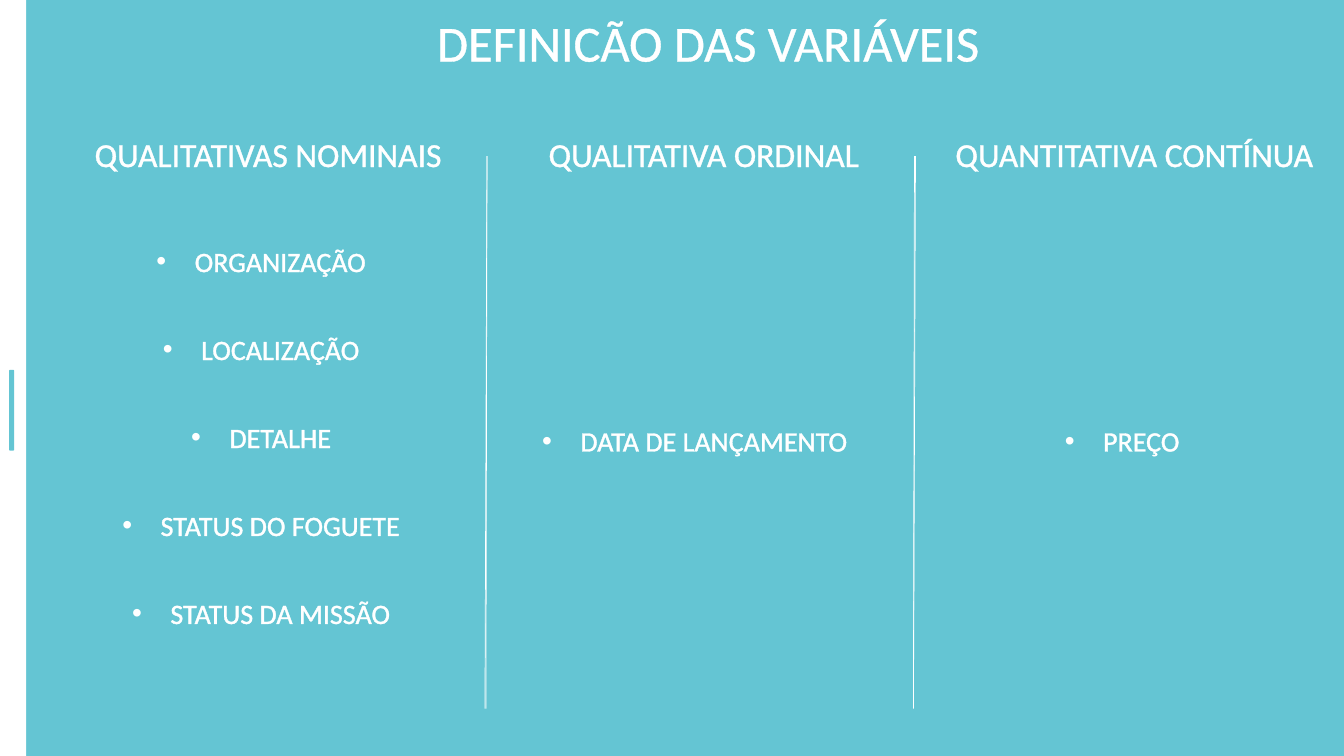
from lxml.etree import SubElement
from pptx import Presentation
from pptx.dml.color import RGBColor
from pptx.enum.shapes import MSO_CONNECTOR, MSO_SHAPE
from pptx.enum.text import PP_ALIGN
from pptx.oxml import parse_xml
from pptx.oxml.ns import nsdecls, qn
from pptx.util import Inches, Pt

TEAL = "64C5D3"
WHITE = "FFFFFF"
FONT = "Calibri"
COLUMN_WIDTH = 4.3
HEADING_TOP = 1.32
ITEM_GAP = 41.25

COLUMNS = [
    {
        "heading": "QUALITATIVAS NOMINAIS",
        "heading_left": 0.51,
        "items": ["ORGANIZAÇÃO", "LOCALIZAÇÃO", "DETALHE", "STATUS DO FOGUETE", "STATUS DA MISSÃO"],
        "items_box": (0.44, 2.41, COLUMN_WIDTH, 3.6),
    },
    {
        "heading": "QUALITATIVA ORDINAL",
        "heading_left": 4.83,
        "items": ["DATA DE LANÇAMENTO"],
        "items_box": (4.74, 4.19, COLUMN_WIDTH, 0.77),
    },
    {
        "heading": "QUANTITATIVA CONTÍNUA",
        "heading_left": 9.1,
        "items": ["PREÇO"],
        "items_box": (8.98, 4.19, COLUMN_WIDTH, 0.77),
    },
]

DIVIDERS = [
    (4.83, 1.55, 4.81, 7.03),
    (4.83, 1.55, 4.82, 7.03),
    (9.07, 1.55, 9.06, 7.03),
    (9.08, 1.55, 9.06, 7.02),
]


def color(value):
    """Return the colour for a hex string."""
    return RGBColor.from_string(value)


def apply_format(target, values):
    """Set every attribute in a dict of format values."""
    for name, value in values.items():
        setattr(target, name, value)


def add_block(slide, kind, box, fill):
    """Add a filled preset shape without outline or shadow."""
    shape = slide.shapes.add_shape(kind, *map(Inches, box))
    shape.shadow.inherit = False
    shape.fill.solid()
    shape.fill.fore_color.rgb = color(fill)
    shape.line.fill.background()


def add_divider(slide, ends):
    """Add a thin white line without shadow."""
    connector = slide.shapes.add_connector(MSO_CONNECTOR.STRAIGHT, *map(Inches, ends))
    connector.line.width = Pt(0.5)
    connector.line.color.rgb = color(WHITE)
    SubElement(connector._element.spPr, qn("a:effectLst"))


def outline_run(run):
    """Give a run a thin white outline."""
    outline = parse_xml(
        f'<a:ln {nsdecls("a")} w="{Pt(0.75)}"><a:solidFill>'
        f'<a:srgbClr val="{WHITE}"/></a:solidFill></a:ln>'
    )
    run._r.get_or_add_rPr().insert(0, outline)


def add_bullet(paragraph):
    """Give a paragraph a hanging round bullet."""
    properties = paragraph._p.get_or_add_pPr()
    properties.set("marL", str(Inches(0.38)))
    properties.set("indent", str(Inches(-0.38)))
    SubElement(properties, qn("a:buFont"), typeface="Arial")
    SubElement(properties, qn("a:buChar"), char="•")


def add_text(slide, box, lines, size, bulleted=False):
    """Add centred white text with one paragraph per line."""
    frame = slide.shapes.add_textbox(*map(Inches, box)).text_frame
    frame.word_wrap = True
    for index, line in enumerate(lines):
        paragraph = frame.add_paragraph() if index else frame.paragraphs[0]
        gap = Pt(ITEM_GAP if index else 10)
        apply_format(paragraph, {"alignment": PP_ALIGN.CENTER, "line_spacing": 0.9, "space_before": gap})
        if bulleted:
            add_bullet(paragraph)
        run = paragraph.add_run()
        run.text = line
        apply_format(run.font, {"name": FONT, "size": Pt(size)})
        run.font.color.rgb = color(WHITE)
        outline_run(run)


def main():
    """Build the slide of variable definitions and save it."""
    presentation = Presentation()
    apply_format(presentation, {"slide_width": Inches(13.33), "slide_height": Inches(7.5)})
    slide = presentation.slides.add_slide(presentation.slide_layouts[6])
    slide.background.fill.solid()
    slide.background.fill.fore_color.rgb = color(TEAL)

    add_block(slide, MSO_SHAPE.RECTANGLE, (0, 0, 0.26, 7.5), WHITE)
    add_block(slide, MSO_SHAPE.ROUNDED_RECTANGLE, (0.09, 3.67, 0.05, 0.8), TEAL)
    add_text(slide, (3.87, 0.13, 6.31, 0.46), ["DEFINICÃO DAS VARIÁVEIS"], 36)
    for ends in DIVIDERS:
        add_divider(slide, ends)
    for column in COLUMNS:
        heading_box = (column["heading_left"], HEADING_TOP, COLUMN_WIDTH, 0.46)
        add_text(slide, heading_box, [column["heading"]], 24)
        add_text(slide, column["items_box"], column["items"], 20, bulleted=True)

    presentation.save("out.pptx")


if __name__ == "__main__":
    main()
